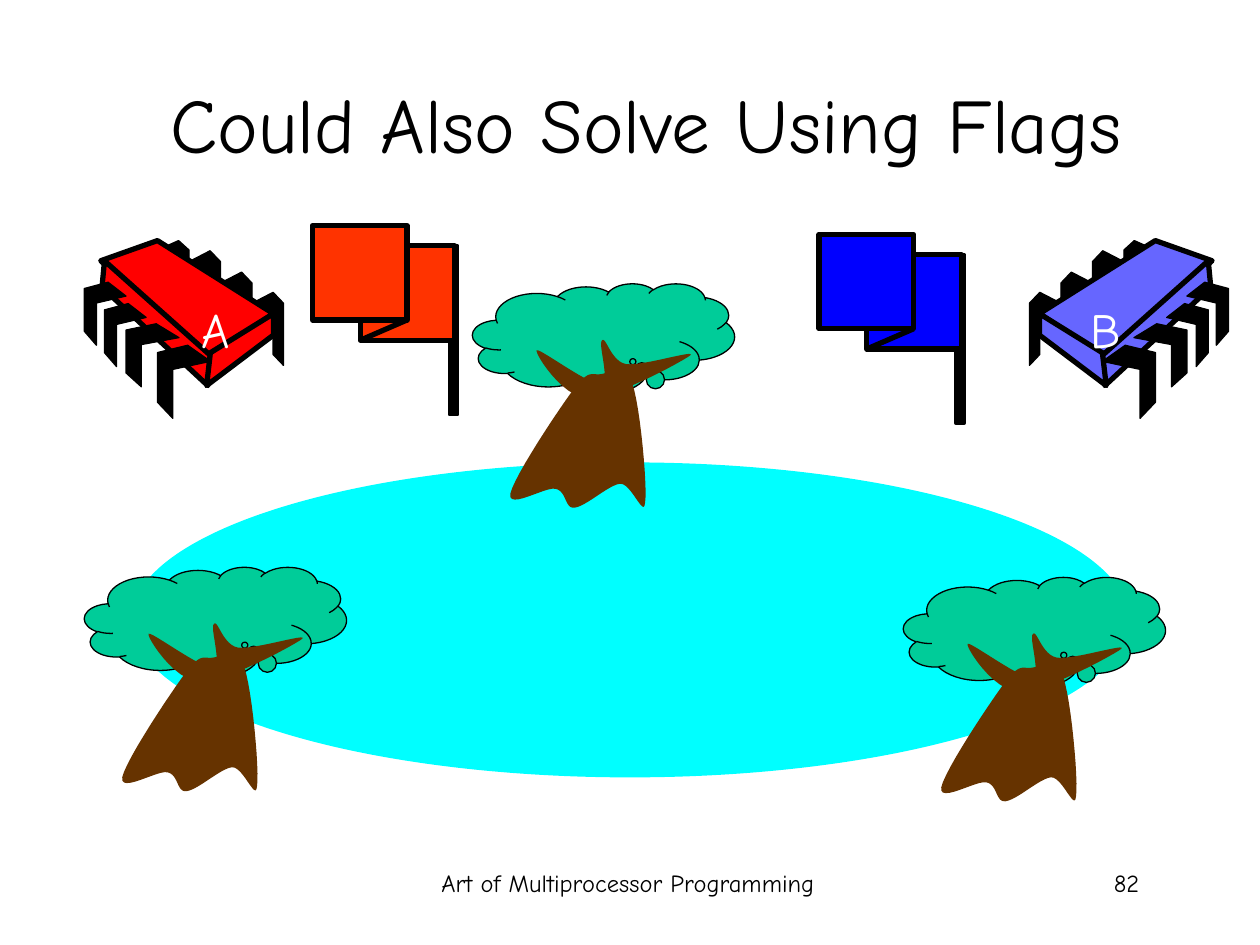
from lxml.etree import SubElement
from pptx import Presentation
from pptx.dml.color import RGBColor
from pptx.enum.shapes import MSO_CONNECTOR, MSO_SHAPE
from pptx.enum.text import MSO_ANCHOR, PP_ALIGN
from pptx.oxml.ns import qn
from pptx.util import Inches, Pt

BLACK = RGBColor(0x00, 0x00, 0x00)
WHITE = RGBColor(0xFF, 0xFF, 0xFF)
RED = RGBColor(0xFF, 0x00, 0x00)
PERIWINKLE = RGBColor(0x66, 0x66, 0xFF)
ORANGE = RGBColor(0xFF, 0x33, 0x00)
BLUE = RGBColor(0x00, 0x00, 0xFF)
CYAN = RGBColor(0x00, 0xFF, 0xFF)
LEAF = RGBColor(0x00, 0xCC, 0x99)
BARK = RGBColor(0x66, 0x33, 0x00)


def paint(shape, fill, line_width=0):
    """Fill a shape and give it a black outline, or none at width 0."""
    shape.shadow.inherit = False
    shape.fill.solid()
    shape.fill.fore_color.rgb = fill
    if line_width:
        shape.line.color.rgb = BLACK
        shape.line.width = Pt(line_width)
    else:
        shape.line.fill.background()


def draw_outline(group, points, fill, line_width=0):
    """Add a closed polygon whose points are in inches."""
    corners = [(Inches(x), Inches(y)) for x, y in points]
    builder = group.shapes.build_freeform(*corners[0], scale=1.0)
    builder.add_line_segments(corners[1:], close=True)
    paint(builder.convert_to_shape(), fill, line_width)


deck = Presentation()
deck.slide_width, deck.slide_height = Inches(10), Inches(7.5)
page = deck.slides.add_slide(deck.slide_layouts[5])

# Chips: pins are fractions of their boxes, and chip B mirrors chip A
REAR_PIN = [(0, 0.15), (0.67, 0), (1, 0.15), (1, 1), (0.67, 0.85), (0.67, 0.29), (0, 0.43)]
FRONT_PIN = [(0.57, 0), (1, 0.22), (0.29, 0.33), (0.29, 1), (0, 0.78), (0, 0.1)]
REAR_BOXES = [(2, 2.32, 0.25, 0.58), (1.75, 2.16, 0.25, 0.58),
              (1.5, 1.99, 0.25, 0.58), (1.25, 1.91, 0.25, 0.5)]
FRONT_BOXES = [(1.25, 2.74, 0.42, 0.58), (1, 2.57, 0.42, 0.5),
               (0.83, 2.41, 0.33, 0.5), (0.67, 2.24, 0.33, 0.5)]
CHIP_FACES = [
    [(1.25, 1.91), (2.17, 2.49), (1.65, 2.84), (0.8, 2.07)],
    [(0.83, 2.07), (1.67, 2.82), (1.65, 3.06), (0.81, 2.28)],
    [(2.17, 2.49), (2.17, 2.66), (1.64, 3.06), (1.67, 2.8)],
]
rear_pins, front_pins = [
    [[(left + u * width, top + v * height) for u, v in pin]
     for left, top, width, height in boxes]
    for pin, boxes in ((REAR_PIN, REAR_BOXES), (FRONT_PIN, FRONT_BOXES))
]
for color, origin, direction in ((RED, 0, 1), (PERIWINKLE, 10.42, -1)):
    chip = page.shapes.add_group_shape()
    for outlines, fill, line_width in ((rear_pins, BLACK, 0.75),
                                       (CHIP_FACES, color, 3),
                                       (front_pins, BLACK, 0.75)):
        for outline in outlines:
            points = [(origin + direction * x, y) for x, y in outline]
            draw_outline(chip, points, fill, line_width)

# Pond
pond = page.shapes.add_shape(MSO_SHAPE.OVAL, Inches(1.04), Inches(3.67),
                             Inches(7.92), Inches(2.5))
paint(pond, CYAN)

# Title, chip letters and footer
title = page.shapes.title
title.left, title.top = Inches(0.88), Inches(0.35)
title.width, title.height = Inches(8.5), Inches(1.25)
TEXTS = [
    (title, "Could Also Solve Using Flags", 44, BLACK, PP_ALIGN.CENTER, MSO_ANCHOR.MIDDLE),
]
for place, words, size, color, align in (
    ((1.43, 2.33, 0.49, 0.57), "A", 28, WHITE, PP_ALIGN.RIGHT),
    ((8.54, 2.33, 0.45, 0.57), "B", 28, WHITE, PP_ALIGN.RIGHT),
    ((3.4, 6.84, 3.17, 0.5), "Art of Multiprocessor Programming", 14, BLACK, PP_ALIGN.CENTER),
    ((7.06, 6.84, 2.08, 0.5), "82", 14, BLACK, PP_ALIGN.RIGHT),
):
    box = page.shapes.add_textbox(*map(Inches, place))
    TEXTS.append((box, words, size, color, align, MSO_ANCHOR.TOP))
for box, words, size, color, align, anchor in TEXTS:
    frame = box.text_frame
    frame.word_wrap = True
    frame.vertical_anchor = anchor
    para = frame.paragraphs[0]
    para.alignment = align
    span = para.add_run()
    span.text = words
    for name, value in {"name": "Comic Neue", "size": Pt(size)}.items():
        setattr(span.font, name, value)
    span.font.color.rgb = color

# Trees: Bezier start point, then two controls and an end point per curve
TRUNK = [
    (4.56, 3.08), (4.68, 2.93), (4.69, 2.98), (4.77, 2.97),
    (4.84, 2.96), (4.96, 2.88), (5.02, 3.05), (5.08, 3.22), (5.14, 3.86), (5.12, 3.99),
    (5.11, 4.12), (5.01, 3.83), (4.92, 3.84), (4.83, 3.85), (4.65, 4.02), (4.56, 4.03),
    (4.48, 4.04), (4.5, 3.9), (4.41, 3.88), (4.33, 3.86), (4.03, 4.05), (4.05, 3.92),
    (4.08, 3.78), (4.44, 3.24), (4.56, 3.08),
]
BRANCHES = [
    (4.26, 2.78), (4.24, 2.8), (4.46, 3.15), (4.66, 3.16),
    (4.87, 3.17), (5.43, 2.86), (5.48, 2.82), (5.53, 2.77), (5.09, 2.91), (4.97, 2.89),
    (4.85, 2.87), (4.81, 2.67), (4.78, 2.7), (4.74, 2.72), (4.85, 3.03), (4.77, 3.05),
    (4.68, 3.06), (4.28, 2.76), (4.26, 2.78),
]
STEPS = 12
wood = []
for controls in (TRUNK, BRANCHES):
    points = [controls[0]]
    for start in range(0, len(controls) - 1, 3):
        curve = controls[start:start + 4]
        for step in range(1, STEPS + 1):
            t = step / STEPS
            weights = ((1 - t) ** 3, 3 * t * (1 - t) ** 2, 3 * t * t * (1 - t), t ** 3)
            points.append(tuple(sum(w * point[axis] for w, point in zip(weights, curve))
                                for axis in (0, 1)))
    wood.append(points)
for left, top in ((3.75, 2.25), (7.17, 4.58), (0.67, 4.5)):
    tree = page.shapes.add_group_shape()
    crown = tree.shapes.add_shape(MSO_SHAPE.CLOUD_CALLOUT, Inches(left), Inches(top),
                                  Inches(2.08), Inches(0.87))
    crown.adjustments[0], crown.adjustments[1] = 0.112, 0.214
    paint(crown, LEAF, 0.75)
    for outline in wood:
        draw_outline(tree, [(x + left - 3.75, y + top - 2.25) for x, y in outline], BARK)

# Flags: pole, rear cloth, fold line, front cloth
for left, top, color in ((6.5, 1.86, BLUE), (2.48, 1.79, ORANGE)):
    flag = page.shapes.add_group_shape()
    for x, y, width, height, fill, line_width in (
        (1.09, 0.16, 0.06, 1.34, BLACK, 2.25),
        (0.38, 0.16, 0.75, 0.75, color, 3),
        (0, 0, 0.75, 0.75, color, 3),
    ):
        if x == 0:
            fold = flag.shapes.add_connector(
                MSO_CONNECTOR.STRAIGHT, Inches(left + 0.38), Inches(top + 0.91),
                Inches(left + 0.75), Inches(top + 0.75))
            fold.line.color.rgb = BLACK
            fold.line.width = Pt(3)
            SubElement(fold._element.spPr, qn("a:effectLst"))
        part = flag.shapes.add_shape(MSO_SHAPE.RECTANGLE, Inches(left + x), Inches(top + y),
                                     Inches(width), Inches(height))
        paint(part, fill, line_width)

deck.save("out.pptx")
